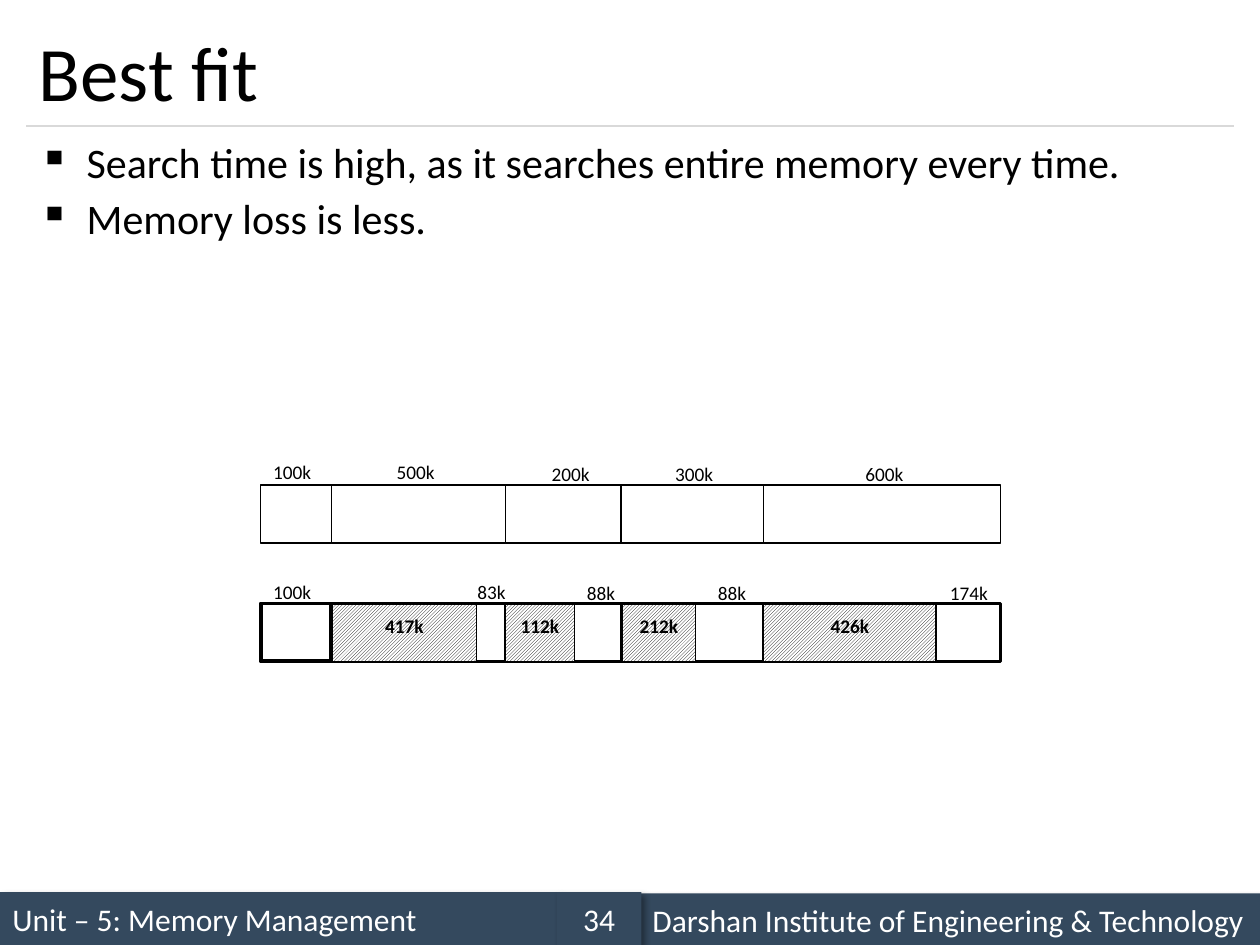
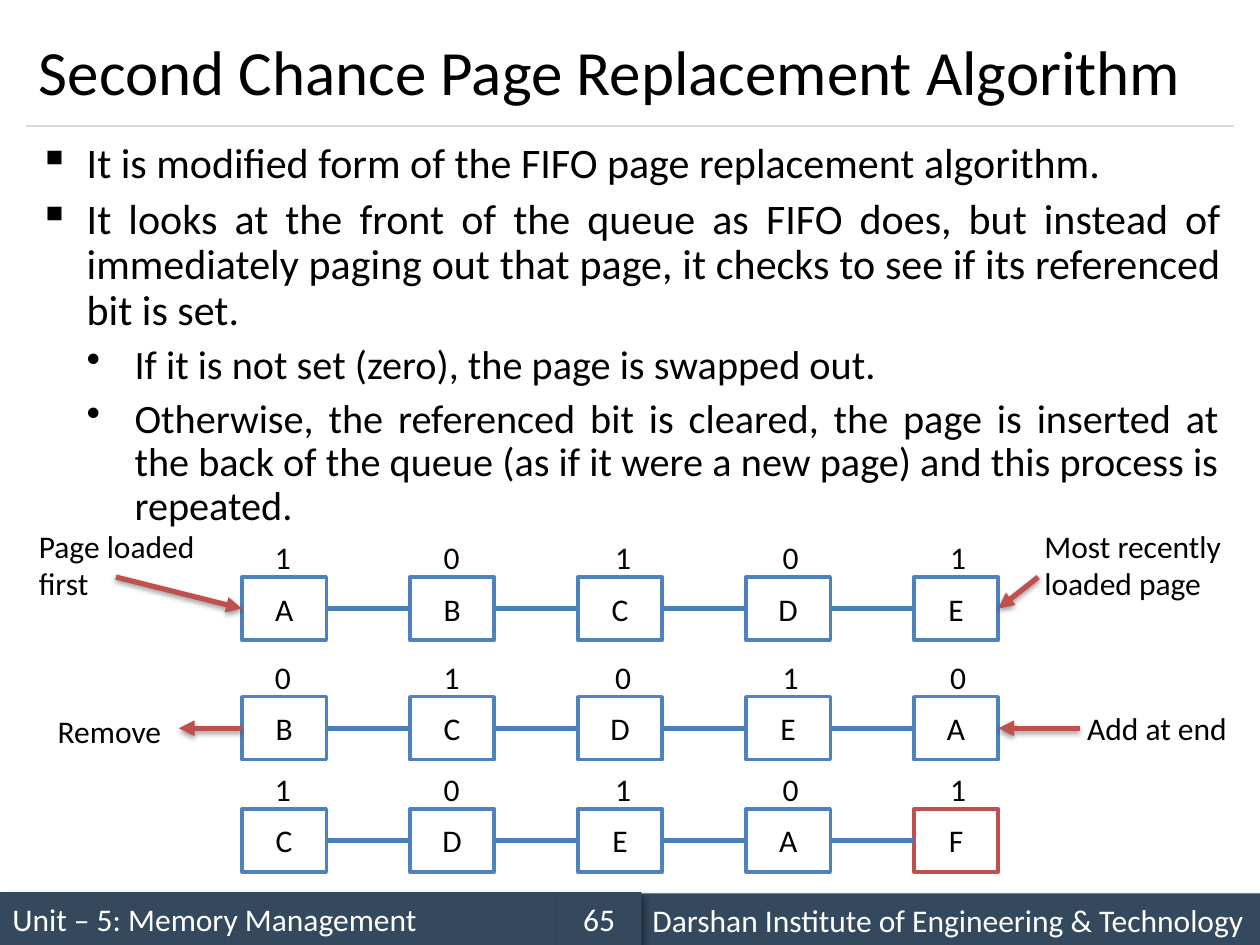
from dataclasses import dataclass
from itertools import pairwise

import pptx
import pptx.dml.color
import pptx.enum.dml
import pptx.enum.shapes
import pptx.enum.text
import pptx.oxml.ns
import pptx.util
from lxml import etree
from pptx.util import Inches

COLORS = {
    "ink": "000000",
    "paper": "FFFFFF",
    "band": "34495E",
    "rule": "D9D9D9",
    "node": "4F81BD",
    "link": "4B7EBC",
    "accent": "C0504D",
}
FONT = "Calibri"
TOP, LEFT, RIGHT = 0, 1, 3
ALIGN = pptx.enum.text.PP_ALIGN
ANCHOR = pptx.enum.text.MSO_ANCHOR
qn = pptx.oxml.ns.qn


@dataclass(frozen=True)
class Shadow:
    alpha: int
    blur: float
    distance: float
    angle: int


@dataclass(frozen=True)
class Area:
    left: float
    top: float
    width: float
    height: float

    def lengths(self) -> list:
        return [Inches(v) for v in (self.left, self.top, self.width, self.height)]


@dataclass(frozen=True)
class TextStyle:
    size: float
    color: str = "ink"
    bold: bool = False
    align: int = ALIGN.LEFT
    anchor: int = ANCHOR.TOP
    spacing: float = 1.0
    wrap: bool = True


@dataclass(frozen=True)
class Bullet:
    text: str
    level: int = 0


@dataclass(frozen=True)
class SizeLabel:
    text: str
    left: float
    top: float


@dataclass(frozen=True)
class Allocation:
    text: str
    left: float
    width: float


@dataclass(frozen=True)
class Queue:
    top: float
    pages: str
    bits: str
    new_page: str = ""


BAND_SHADOW = Shadow(40, 4, 3, 45)
ARROW_SHADOW = Shadow(38, 3.1, 1.6, 90)
TITLE_AREA = Area(0.21, 0.12, 9.58, 0.88)
BODY_AREA = Area(0.21, 1.08, 9.58, 5.83)
BULLET_INDENT = 0.38
BULLET_MARKS = ("▪", "•")
BULLET_SIZES = (24, 23)

SIZE_STYLE = TextStyle(11, spacing=1.15)
ALLOCATION_STYLE = TextStyle(11, bold=True, align=ALIGN.CENTER, spacing=1.15)
NOTE_STYLE = TextStyle(18)
BIT_STYLE = TextStyle(18, align=ALIGN.CENTER, wrap=False)
PAGE_STYLE = TextStyle(18, align=ALIGN.CENTER, anchor=ANCHOR.MIDDLE)

MEMORY_EDGES = (2.07, 2.63, 4.01, 4.93, 6.06, 7.94)
FREE_TOP, USED_TOP = 3.85, 4.79
SIZE_LABELS = (
    SizeLabel("100k", 2.07, 3.58),
    SizeLabel("500k", 3.05, 3.58),
    SizeLabel("200k", 4.28, 3.59),
    SizeLabel("300k", 5.26, 3.59),
    SizeLabel("600k", 6.77, 3.59),
    SizeLabel("100k", 2.07, 4.53),
    SizeLabel("83k", 3.69, 4.53),
    SizeLabel("88k", 4.56, 4.54),
    SizeLabel("88k", 5.6, 4.54),
    SizeLabel("174k", 7.44, 4.54),
)
ALLOCATIONS = (
    Allocation("212k", 4.94, 0.58),
    Allocation("417k", 2.64, 1.14),
    Allocation("112k", 4.01, 0.55),
    Allocation("426k", 6.06, 1.37),
)

PAGE_LEFT, PAGE_PITCH = 1.92, 4 / 3
PAGE_WIDTH, PAGE_HEIGHT = 0.67, 0.5
BIT_LEFTS = (2.08, 3.42, 4.78, 6.11, 7.44)
QUEUES = (
    Queue(4.58, "ABCDE", "10101"),
    Queue(5.53, "BCDEA", "01010"),
    Queue(6.42, "CDEAF", "10101", new_page="F"),
)


def rgb(name: str) -> pptx.dml.color.RGBColor:
    return pptx.dml.color.RGBColor.from_string(COLORS[name])


def set_shadow(properties, shadow: Shadow | None) -> None:
    effects = properties.find(qn("a:effectLst"))
    if effects is None:
        effects = etree.SubElement(properties, qn("a:effectLst"))
    if shadow:
        outer = etree.SubElement(
            effects, qn("a:outerShdw"),
            blurRad=str(int(shadow.blur * 12700)),
            dist=str(int(shadow.distance * 12700)),
            dir=str(shadow.angle * 60000), algn="tl", rotWithShape="0")
        color = etree.SubElement(outer, qn("a:srgbClr"), val=COLORS["ink"])
        etree.SubElement(color, qn("a:alpha"), val=str(shadow.alpha * 1000))


def add_run(paragraph, text: str, size: float, color: str = "ink", bold: bool = False) -> None:
    run = paragraph.add_run()
    run.text = text
    run.font.name = FONT
    run.font.size = pptx.util.Pt(size)
    run.font.bold = bold
    run.font.color.rgb = rgb(color)


def write(shape, lines: tuple[str, ...], style: TextStyle) -> None:
    frame = shape.text_frame
    frame.word_wrap = style.wrap
    frame.vertical_anchor = style.anchor
    for index, line in enumerate(lines):
        paragraph = frame.add_paragraph() if index else frame.paragraphs[0]
        paragraph.alignment = style.align
        paragraph.line_spacing = style.spacing
        add_run(paragraph, line, style.size, style.color, style.bold)


def add_text(slide, area: Area, style: TextStyle, *lines: str) -> None:
    write(slide.shapes.add_textbox(*area.lengths()), lines, style)


def add_box(slide, area: Area, fill: str = "paper", line: str | None = "ink",
            weight: float = 0.75, shadow: Shadow | None = None):
    box = slide.shapes.add_shape(pptx.enum.shapes.MSO_SHAPE.RECTANGLE, *area.lengths())
    box.fill.solid()
    box.fill.fore_color.rgb = rgb(fill)
    if line:
        box.line.color.rgb = rgb(line)
        box.line.width = pptx.util.Pt(weight)
    else:
        box.line.fill.background()
    box.shadow.inherit = False
    set_shadow(box._element.spPr, shadow)
    return box


def add_line(slide, start: tuple[float, float], end: tuple[float, float], color: str,
             weight: float, arrow: bool = False):
    line = slide.shapes.add_connector(
        pptx.enum.shapes.MSO_CONNECTOR.STRAIGHT, *map(Inches, start + end))
    line.line.color.rgb = rgb(color)
    line.line.width = pptx.util.Pt(weight)
    if arrow:
        etree.SubElement(line.line._get_or_add_ln(), qn("a:tailEnd"), type="triangle")
    set_shadow(line._element.spPr, ARROW_SHADOW if arrow else None)
    return line


def add_bullets(slide, bullets: tuple[Bullet, ...]) -> None:
    frame = slide.shapes.add_textbox(*BODY_AREA.lengths()).text_frame
    frame.word_wrap = True
    for index, bullet in enumerate(bullets):
        paragraph = frame.add_paragraph() if index else frame.paragraphs[0]
        properties = paragraph._p.get_or_add_pPr()
        properties.set("marL", str(Inches(BULLET_INDENT * (bullet.level + 1))))
        properties.set("indent", str(-Inches(BULLET_INDENT)))
        etree.SubElement(properties, qn("a:buChar"), char=BULLET_MARKS[bullet.level])
        paragraph.level = bullet.level
        paragraph.alignment = ALIGN.JUSTIFY
        paragraph.line_spacing = 0.9
        if index:
            paragraph.space_before = pptx.util.Pt(6)
        add_run(paragraph, bullet.text, BULLET_SIZES[bullet.level])


def start_slide(deck, title: str, title_size: int, number: str, bullets: tuple[Bullet, ...]):
    slide = deck.slides.add_slide(deck.slide_layouts[6])
    for text, area, align in (
        ("Unit – 5: Memory Management", Area(0, 7.08, 4.42, 0.42), ALIGN.LEFT),
        ("Darshan Institute of Engineering & Technology", Area(5.08, 7.09, 4.92, 0.42), ALIGN.LEFT),
        (number, Area(4.42, 7.08, 0.67, 0.42), ALIGN.CENTER),
    ):
        band = add_box(slide, area, "band", None, shadow=BAND_SHADOW)
        write(band, (text,), TextStyle(18, "paper", align=align, anchor=ANCHOR.MIDDLE))
    add_line(slide, (0.21, 1), (9.79, 1), "rule", 0.75)
    add_text(slide, TITLE_AREA, TextStyle(title_size, anchor=ANCHOR.MIDDLE), title)
    add_bullets(slide, bullets)
    return slide


def build_best_fit(deck) -> None:
    slide = start_slide(deck, "Best fit", 44, "34", (
        Bullet("Search time is high, as it searches entire memory every time."),
        Bullet("Memory loss is less."),
    ))
    for top, weights in ((FREE_TOP, (0.75,) * 5), (USED_TOP, (2.25,) + (1.5,) * 4)):
        for (left, right), weight in zip(pairwise(MEMORY_EDGES), weights):
            add_box(slide, Area(left, top, right - left, 0.46), weight=weight)
    for label in SIZE_LABELS:
        add_text(slide, Area(label.left, label.top, 0.56, 0.26), SIZE_STYLE, label.text)
    for allocation in ALLOCATIONS:
        used = add_box(slide, Area(allocation.left, USED_TOP + 0.01, allocation.width, 0.45))
        used.fill.patterned()
        used.fill.pattern = pptx.enum.dml.MSO_PATTERN.LIGHT_UPWARD_DIAGONAL
        used.fill.fore_color.rgb = rgb("ink")
        used.fill.back_color.rgb = rgb("paper")
        write(used, (allocation.text,), ALLOCATION_STYLE)


def add_queue(slide, queue: Queue) -> list:
    pages = []
    for index, (name, bit) in enumerate(zip(queue.pages, queue.bits)):
        area = Area(PAGE_LEFT + index * PAGE_PITCH, queue.top, PAGE_WIDTH, PAGE_HEIGHT)
        page = add_box(slide, area, line="accent" if name == queue.new_page else "node", weight=2)
        write(page, (name,), PAGE_STYLE)
        pages.append(page)
        add_text(slide, Area(BIT_LEFTS[index], queue.top - 0.36, 0.33, 0.4), BIT_STYLE, bit)
    for page, following in pairwise(pages):
        link = add_line(slide, (0, 0), (0, 0), "link", 3)
        link.begin_connect(page, RIGHT)
        link.end_connect(following, LEFT)
    return pages


def build_second_chance(deck) -> None:
    slide = start_slide(deck, "Second Chance Page Replacement Algorithm", 36, "65", (
        Bullet("It is modified form of the FIFO page replacement algorithm."),
        Bullet("It looks at the front of the queue as FIFO does, but instead of immediately "
               "paging out that page, it checks to see if its referenced bit is set."),
        Bullet("If it is not set (zero), the page is swapped out.", 1),
        Bullet("Otherwise, the referenced bit is cleared, the page is inserted at the back of "
               "the queue (as if it were a new page) and this process is repeated.", 1),
    ))
    loaded, rotated, _ = [add_queue(slide, queue) for queue in QUEUES]
    for start, page, side in (
        ((0.92, 4.58), loaded[0], LEFT),
        ((8.24, 4.58), loaded[-1], RIGHT),
        ((8.57, 5.78), rotated[-1], RIGHT),
    ):
        add_line(slide, start, start, "accent", 3, arrow=True).end_connect(page, side)
    removal = add_line(slide, (1.92, 5.78), (1.42, 5.78), "accent", 3, arrow=True)
    removal.begin_connect(rotated[0], LEFT)
    add_text(slide, Area(0.21, 4.13, 1.46, 0.71), NOTE_STYLE, "Page loaded", "first")
    add_text(slide, Area(8.19, 4.13, 1.65, 0.71), NOTE_STYLE, "Most recently loaded page")
    add_text(slide, Area(0.36, 5.6, 1.38, 0.4), NOTE_STYLE, "Remove")
    add_text(slide, Area(8.53, 5.58, 1.38, 0.4), NOTE_STYLE, "Add at end")


def main() -> None:
    deck = pptx.Presentation()
    deck.slide_width, deck.slide_height = Inches(10), Inches(7.5)
    build_best_fit(deck)
    build_second_chance(deck)
    deck.save("out.pptx")


if __name__ == "__main__":
    main()
